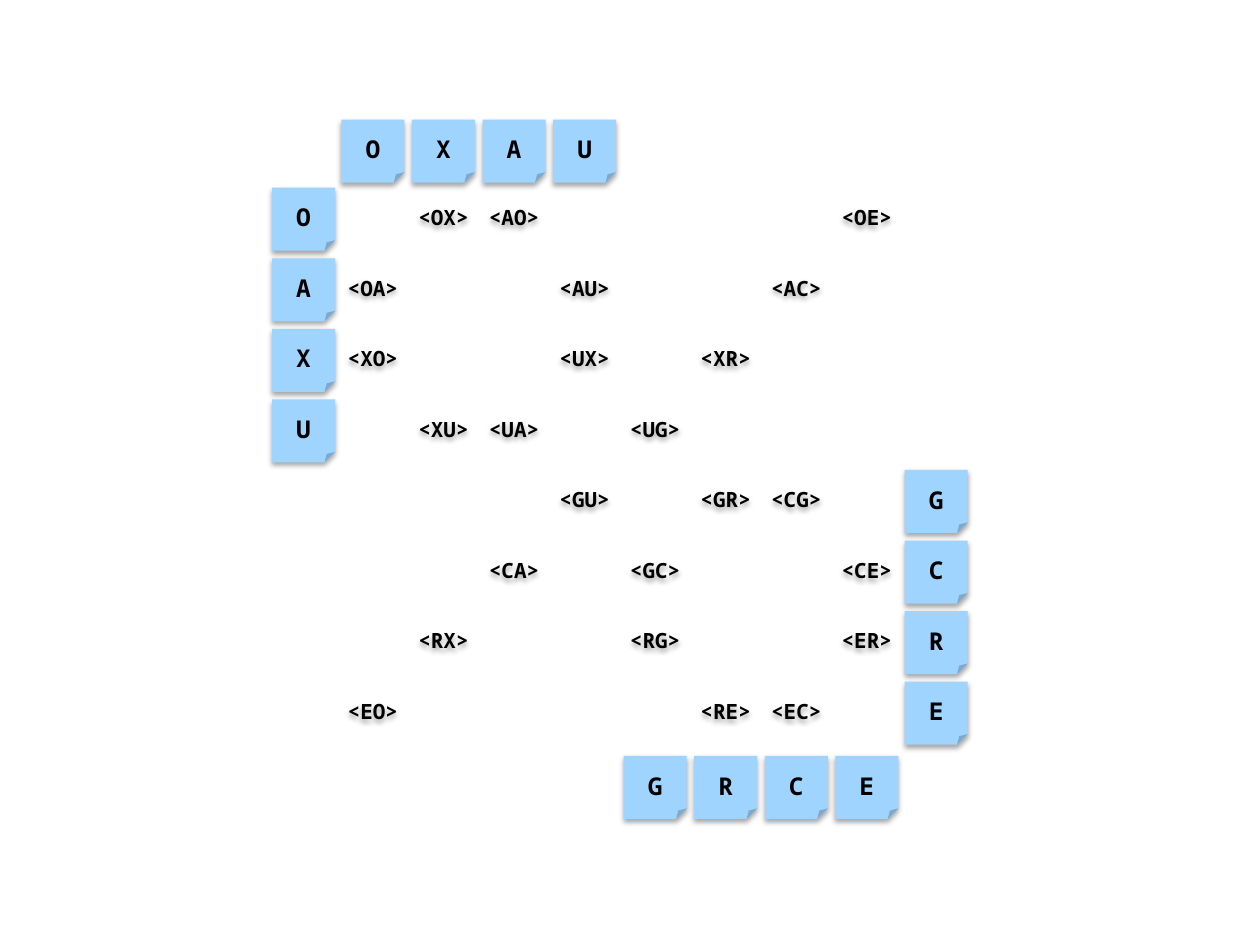
from dataclasses import dataclass
from typing import Optional

from lxml.etree import SubElement
from pptx import Presentation
from pptx.dml.color import RGBColor
from pptx.enum.shapes import MSO_SHAPE as Shape
from pptx.enum.text import MSO_ANCHOR as Anchor, PP_ALIGN as Align
from pptx.oxml.ns import qn
from pptx.util import Inches, Pt

NOTE_BLUE = RGBColor(0x9F, 0xD4, 0xFF)
INK = RGBColor(0x00, 0x00, 0x00)

SIZE, PITCH = 0.5, 0.56
GRID_LEFT, GRID_TOP = 2.71, 1.49
LEFT_EDGE, RIGHT_EDGE = 2.16, 7.18
TOP_EDGE, BOTTOM_EDGE = 0.95, 6.0

FRAME_FORMAT = {
    "margin_left": 0, "margin_top": Inches(0.05),
    "margin_right": 0, "margin_bottom": 0,
    "vertical_anchor": Anchor.MIDDLE, "word_wrap": True,
}

# One string per grid row, "--" marks an empty cell.
PAIR_ROWS = (
    "-- OX AO -- -- -- -- OE",
    "OA -- -- AU -- -- AC --",
    "XO -- -- UX -- XR -- --",
    "-- XU UA -- UG -- -- --",
    "-- -- -- GU -- GR CG --",
    "-- -- CA -- GC -- -- CE",
    "-- RX -- -- RG -- -- ER",
    "EO -- -- -- -- RE EC --",
)


@dataclass(frozen=True)
class Note:
    """A square note with its place in inches."""
    label: str
    left: float
    top: float
    points: int = 14
    color: Optional[RGBColor] = NOTE_BLUE


def column_left(column: int) -> float:
    """Left side of a grid column."""
    return GRID_LEFT + column * PITCH


def row_top(row: int) -> float:
    """Top side of a grid row."""
    return GRID_TOP + row * PITCH


def pair_notes() -> list[Note]:
    """Unfilled notes for the letter pairs inside the grid."""
    return [
        Note(f"<{pair}>", column_left(column), row_top(row), 12, None)
        for row, pairs in enumerate(PAIR_ROWS)
        for column, pair in enumerate(pairs.split())
        if pair != "--"
    ]


def across(letters: str, first_column: int, top: float) -> list[Note]:
    """Heading notes along a row."""
    return [Note(letter, column_left(column), top)
            for column, letter in enumerate(letters, first_column)]


def down(letters: str, first_row: int, left: float) -> list[Note]:
    """Heading notes along a column."""
    return [Note(letter, left, row_top(row))
            for row, letter in enumerate(letters, first_row)]


def add_shadow(shape) -> None:
    """Give a shape a soft shadow straight below it."""
    shape.shadow.inherit = False
    effects = shape._element.spPr.find(qn("a:effectLst"))
    shadow = SubElement(effects, qn("a:outerShdw"), blurRad=str(Pt(3.1)),
                        dist=str(Pt(1.8)), dir="5400000", rotWithShape="0")
    shade = SubElement(shadow, qn("a:srgbClr"), val=str(INK))
    SubElement(shade, qn("a:alpha"), val="35000")


def draw_note(slide, note: Note) -> None:
    """Draw one note with its label."""
    shape = slide.shapes.add_shape(
        Shape.FOLDED_CORNER, Inches(note.left), Inches(note.top),
        Inches(SIZE), Inches(SIZE))
    shape.line.fill.background()
    if note.color is None:
        shape.fill.background()
    else:
        shape.fill.solid()
        shape.fill.fore_color.rgb = note.color
    add_shadow(shape)

    frame = shape.text_frame
    for name, value in FRAME_FORMAT.items():
        setattr(frame, name, value)
    paragraph = frame.paragraphs[0]
    paragraph.alignment = Align.CENTER
    run = paragraph.add_run()
    run.text = note.label
    font_format = {"name": "Noto Sans Mono", "size": Pt(note.points), "bold": True}
    for name, value in font_format.items():
        setattr(run.font, name, value)
    run.font.color.rgb = INK


def main() -> None:
    """Build the slide and save it."""
    deck = Presentation()
    deck.slide_width, deck.slide_height = Inches(10), Inches(7.5)
    slide = deck.slides.add_slide(deck.slide_layouts[6])
    notes = (
        pair_notes()
        + across("GRCE", 4, BOTTOM_EDGE)
        + down("GCRE", 4, RIGHT_EDGE)
        + down("OAXU", 0, LEFT_EDGE)
        + across("OXAU", 0, TOP_EDGE)
    )
    for note in notes:
        draw_note(slide, note)
    deck.save("out.pptx")


main()
